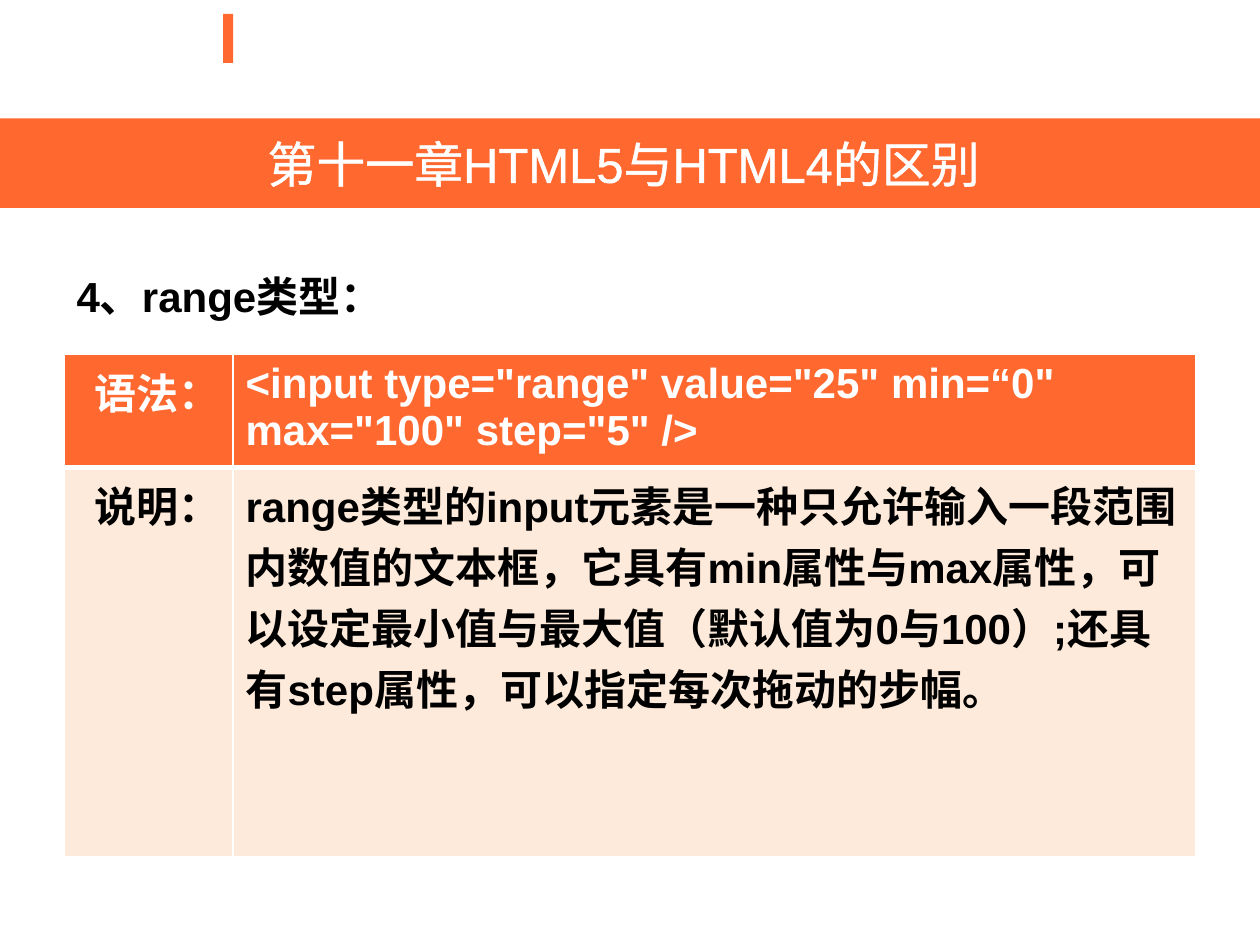
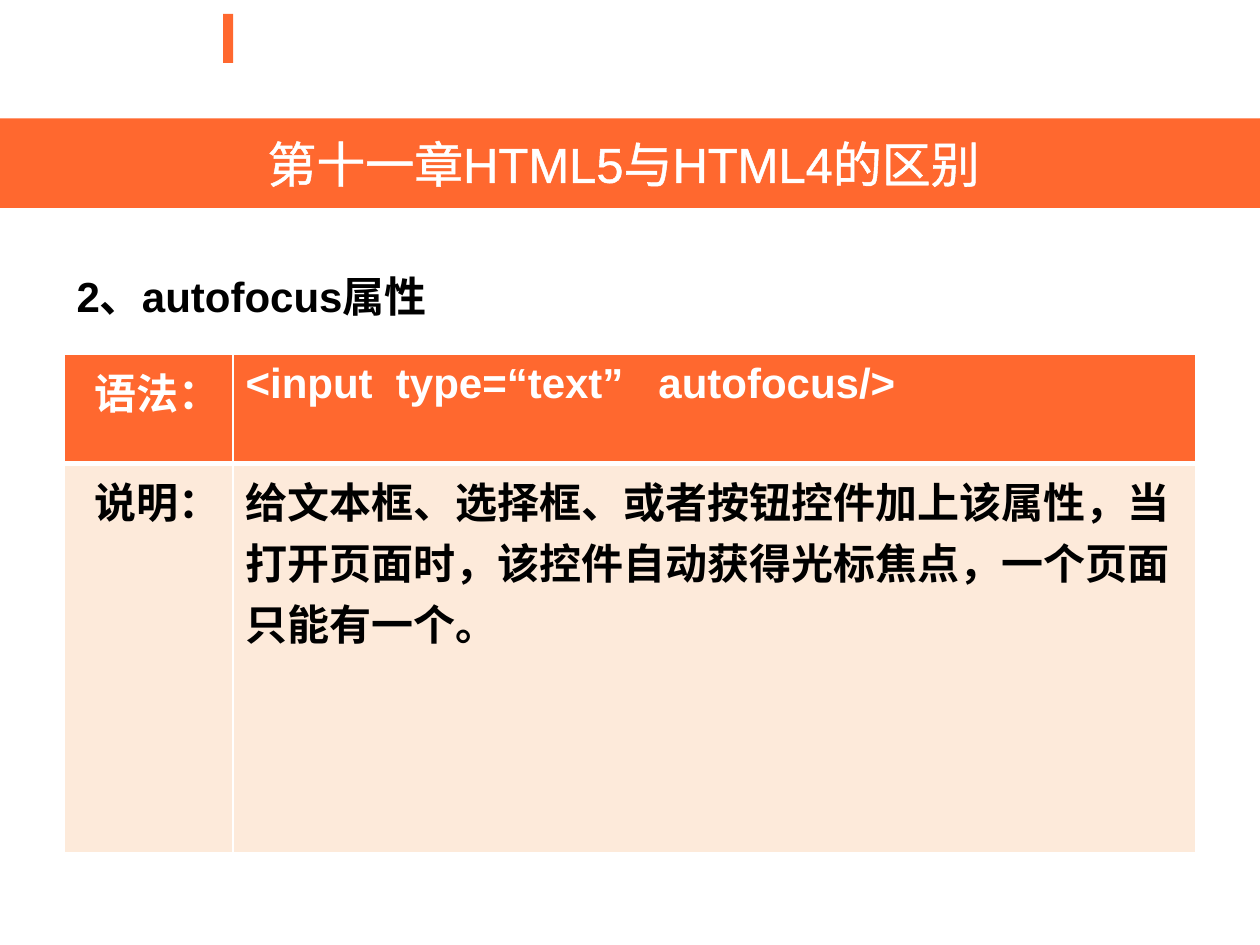
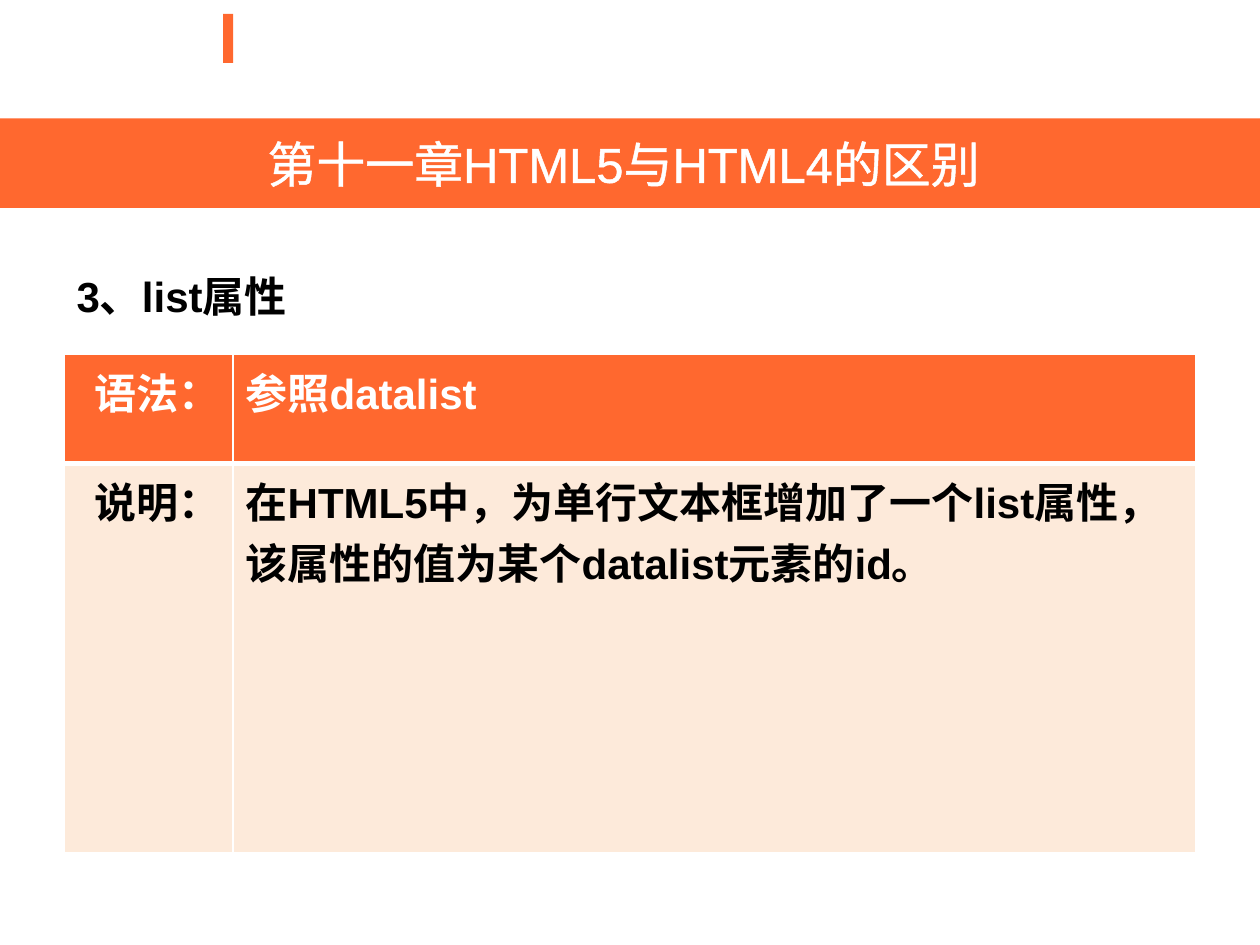
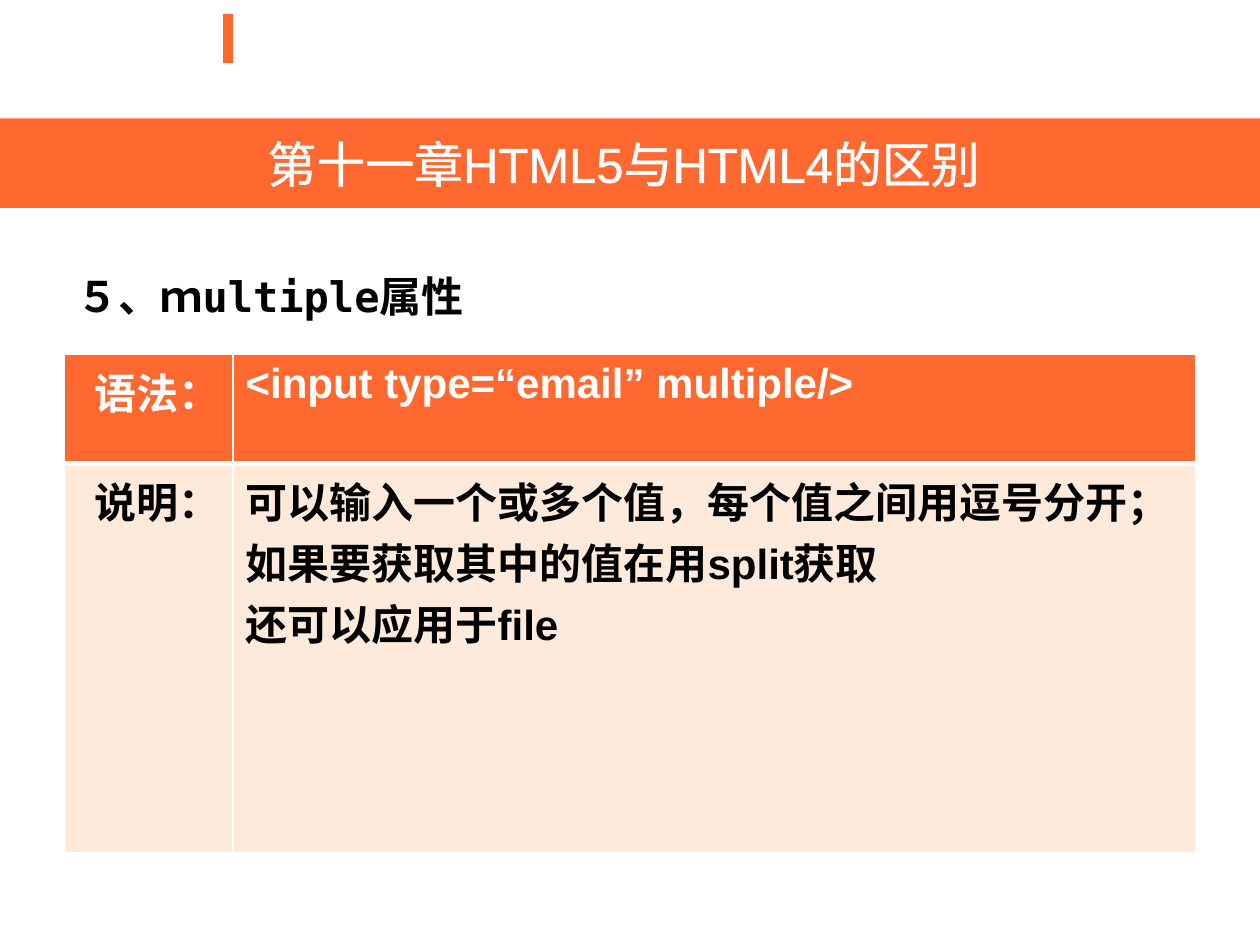
"""Build four slides on HTML5 form input types and attributes."""
import dataclasses

import lxml.etree
import pptx
import pptx.dml.color
import pptx.enum.shapes
import pptx.enum.text
import pptx.oxml.ns
import pptx.util

Inches, Pt = pptx.util.Inches, pptx.util.Pt
RGB = pptx.dml.color.RGBColor.from_string
ALIGN = pptx.enum.text.PP_ALIGN
qn = pptx.oxml.ns.qn


@dataclasses.dataclass(frozen=True)
class Theme:
    accent: str = "FF682F"
    tint: str = "FDEADA"
    white: str = "FFFFFF"
    black: str = "000000"
    font: str = "Arial"
    mono: str = "DejaVu Sans Mono"
    title: int = 28
    body: int = 24
    outline: float = 1.45
    thin: int = 1
    thick: int = 3


theme = Theme()
chapter = "第十一章HTML5与HTML4的区别"
topics = [
    ("4、range类型：", theme.font,
     '<input type="range" value="25" min=“0" max="100" step="5" />',
     "range类型的input元素是一种只允许输入一段范围内数值的文本框，它具有min属性与max属性，"
     "可以设定最小值与最大值（默认值为0与100）;还具有step属性，可以指定每次拖动的步幅。"),
    ("2、autofocus属性", theme.font,
     "<input  type=“text”   autofocus/>",
     "给文本框、选择框、或者按钮控件加上该属性，当打开页面时，该控件自动获得光标焦点，一个页面只能有一个。"),
    ("3、list属性", theme.font,
     "参照datalist",
     "在HTML5中，为单行文本框增加了一个list属性，该属性的值为某个datalist元素的id。"),
    ("５、ｍultiple属性", theme.mono,
     "<input type=“email” multiple/>",
     "可以输入一个或多个值，每个值之间用逗号分开；如果要获取其中的值在用split获取\n还可以应用于file"),
]


def write(tf, text, size, color, bold=True, font=theme.font, align=ALIGN.LEFT):
    tf.text = text
    for p in tf.paragraphs:
        p.alignment = align
        for r in p.runs:
            r.font.size, r.font.bold, r.font.name = Pt(size), bold, font
            r.font.color.rgb = RGB(color)


def add_line(parent, tag, width, index):
    ln = lxml.etree.Element(qn(tag), w=str(Pt(width)))
    fill = lxml.etree.SubElement(ln, qn("a:solidFill"))
    lxml.etree.SubElement(fill, qn("a:srgbClr"), val=theme.white)
    parent.insert(index, ln)


prs = pptx.Presentation()
prs.slide_width, prs.slide_height = Inches(10), Inches(7.5)

for heading, heading_font, syntax, description in topics:
    s = prs.slides.add_slide(prs.slide_layouts[6])

    for box in [(1.77, 0.11, 0.08, 0.39), (0, 0.94, 10, 0.71)]:
        sp = s.shapes.add_shape(pptx.enum.shapes.MSO_SHAPE.RECTANGLE, *map(Inches, box))
        sp.shadow.inherit = False
        sp.fill.solid()
        sp.fill.fore_color.rgb = RGB(theme.accent)
        sp.line.fill.background()
    tf = sp.text_frame
    tf.margin_right = Inches(0.2)
    tf.vertical_anchor = pptx.enum.text.MSO_ANCHOR.MIDDLE
    write(tf, chapter, theme.title, theme.white, bold=False, align=ALIGN.CENTER)
    add_line(tf.paragraphs[0].runs[0].font._element, "a:ln", theme.outline, 0)

    tf = s.shapes.add_textbox(Inches(0.51), Inches(2.1), Inches(9), Inches(4.72)).text_frame
    tf.word_wrap = True
    write(tf, heading, theme.body, theme.black, font=heading_font)
    tf.paragraphs[0].space_before = Pt(6)

    table = s.shapes.add_table(2, 2, Inches(0.51), Inches(2.81), Inches(8.98), Inches(3.96)).table
    for column, width in zip(table.columns, (1.34, 7.64)):
        column.width = Inches(width)
    for row, height in zip(table.rows, (0.87, 3.09)):
        row.height = Inches(height)

    rows = [
        (("语法：", syntax), theme.accent, theme.white, "a:lnB"),
        (("说明：", description), theme.tint, theme.black, "a:lnT"),
    ]
    for row, (texts, fill, color, thick_edge) in zip(table.rows, rows):
        for cell, text, align in zip(row.cells, texts, (ALIGN.RIGHT, ALIGN.LEFT)):
            write(cell.text_frame, text, theme.body, color, align=align)
            cell.fill.solid()
            cell.fill.fore_color.rgb = RGB(fill)
            tc_pr = cell._tc.get_or_add_tcPr()
            for i, edge in enumerate(("a:lnL", "a:lnR", "a:lnT", "a:lnB")):
                add_line(tc_pr, edge, theme.thick if edge == thick_edge else theme.thin, i)

prs.save("out.pptx")
